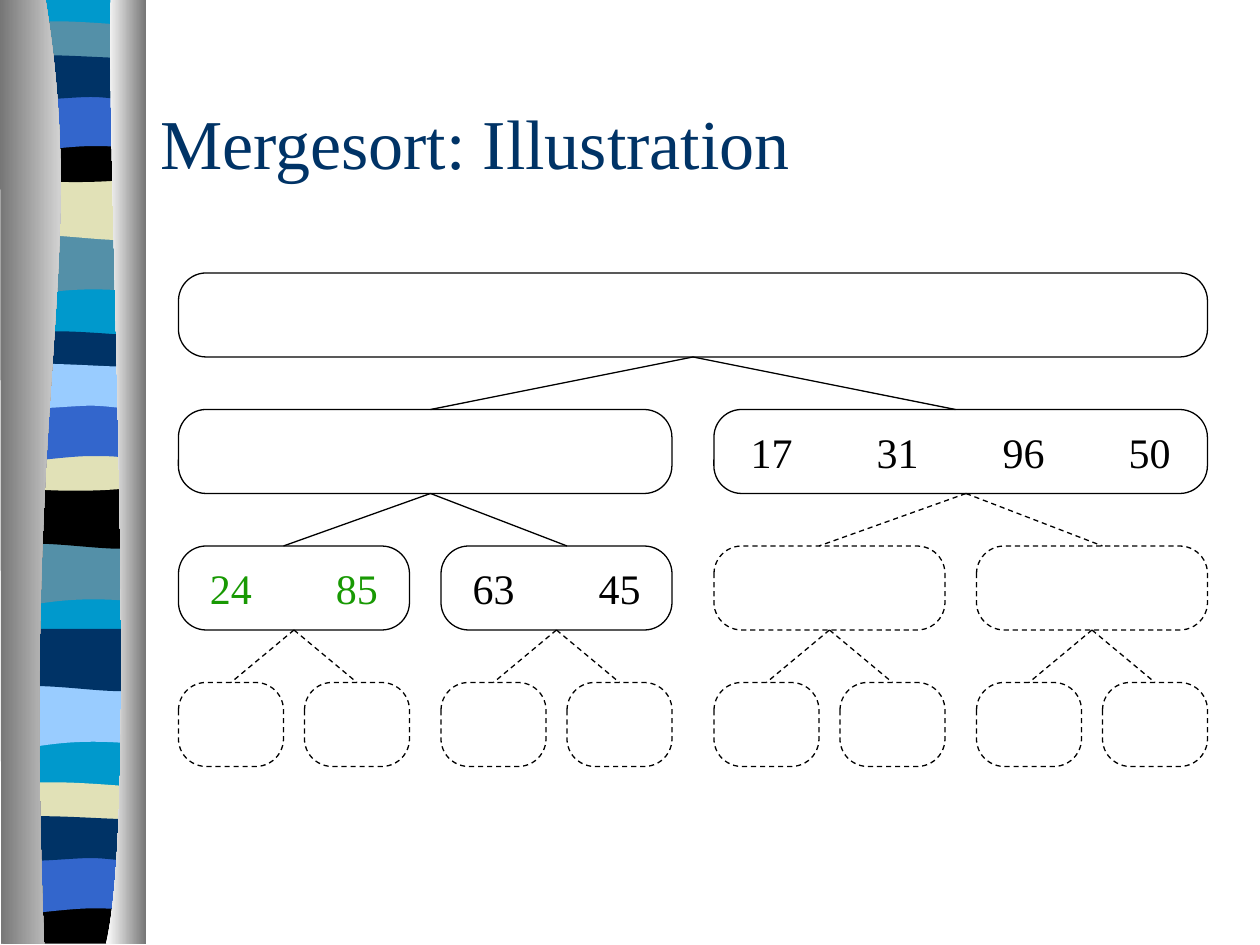
from dataclasses import dataclass
from itertools import product

from lxml.etree import SubElement
from pptx import Presentation
from pptx.dml.color import RGBColor
from pptx.enum.dml import MSO_LINE
from pptx.enum.shapes import MSO_CONNECTOR, MSO_SHAPE
from pptx.enum.text import MSO_ANCHOR, PP_ALIGN
from pptx.oxml.ns import qn
from pptx.util import Inches, Pt

FONT = "Times New Roman"
UNIT = 1 / 12                                # grid step in inches
LEAVES = (17, 29, 42, 54, 68, 80, 93, 105)   # left columns of the lowest boxes
WIDE, HIGH = 10, 8                           # leaf width, box height
TOP, PITCH = 26, 13                          # first row, row step
SPREAD = ((25, 25), (14, 13), (6, 6))        # reach of the lines left and right

NAVY, TEAL, SAND, BLUE = "003366", "5490A8", "E1E1B7", "3366CC"
SKY, CYAN, BLACK, WHITE = "99CCFF", "0099CC", "000000", "FFFFFF"
GREY, GREEN = "767676", "189903"


@dataclass
class Node:
    level: int
    index: int
    text: str = ""
    ink: str = BLACK
    dash: bool = False

    def span(self) -> tuple[int, int]:
        """First and last column of the box."""
        count = len(LEAVES) >> self.level
        first = self.index * count
        return LEAVES[first], LEAVES[first + count - 1] + WIDE

    def row(self) -> int:
        return TOP + PITCH * self.level

    def mid(self) -> int:
        return (sum(self.span()) + 1) // 2


@dataclass
class Band:
    kind: str
    top: float
    color: str


# Outline: a start, then line steps (x, y) and curve steps (x1, y1, x2, y2, x, y).
WAVES = {
    "wave": [(1.14, 0), (1.14, .47), (.39, .39, .24, .55, .06, .47), (.06, 0)],
    "swell": [(1.14, 0), (1.14, .47), (.96, .55, .39, .41, .06, .47), (.06, 0)],
    "lens": [(1.14, .05), (1.14, .29), (.96, .33, .24, .33, .06, .29), (.06, .05),
             (.12, 0, .29, .01, .47, .01), (.65, .01, 1, .04, 1.14, .05)],
    "bowl": [(1.14, 0), (1.14, .32), (.96, .38, .24, .38, .06, .32), (.06, 0),
             (.72, .05, .91, 0, 1.14, 0)],
    "foot": [(1.14, 0), (1.14, .37), (.06, .37), (.06, 0),
             (.72, .05, .91, 0, 1.14, 0)],
    "arch": [(1.14, 0), (1.14, .47), (.97, .42, .9, .42, .72, .42),
             (.54, .42, .22, .47, .06, .47), (.06, 0)],
    "flat": [(1.14, .05), (1.14, .36), (1.07, .41, .9, .36, .72, .36),
             (.54, .36, .17, .41, .06, .36), (.06, .05),
             (.21, 0, .79, .05, .97, .05), (1.15, .05, 1.1, .05, 1.14, .05)],
}
BANDS = [
    Band("wave", 1.85, TEAL), Band("swell", 1.41, SAND), Band("lens", .16, TEAL),
    Band("bowl", 1.08, BLACK), Band("arch", .74, BLUE), Band("flat", .41, NAVY),
    Band("wave", 4.31, TEAL), Band("swell", 3.86, BLACK), Band("lens", 2.62, NAVY),
    Band("bowl", 3.53, SAND), Band("arch", 3.2, BLUE), Band("flat", 2.86, SKY),
    Band("wave", 5.44, SKY), Band("swell", 4.99, NAVY), Band("lens", 6.2, SAND),
    Band("foot", 7.12, BLACK), Band("arch", 6.79, BLUE), Band("flat", 6.45, NAVY),
]
BASE = [(1.14, -.01), (1.14, 7.47), (.06, 7.47), (.06, -.01)]
LEFT = [(.36, -.01), (.71, 2.16, .17, 2.96, .35, 7.49), (.01, 7.49), (0, -.01)]
RIGHT = [(.88, -.01), (.84, 1.25, 1.11, 6.46, .84, 7.49), (1.16, 7.49), (1.16, 0)]

TEXTS = {
    (1, 1): ("17\t31\t96\t50", BLACK),
    (2, 0): ("24\t85", GREEN),
    (2, 1): ("63\t45", BLACK),
}


def rgb(code: str) -> RGBColor:
    return RGBColor.from_string(code)


def put(target, values: dict) -> None:
    for name, value in values.items():
        setattr(target, name, value)


def bend(shape, steps: list) -> None:
    """Join the lines of each curve step into one cubic curve."""
    lines = list(shape._element.iter(qn("a:lnTo")))
    for step in steps[1:]:
        part, lines = lines[:len(step) // 2], lines[len(step) // 2:]
        if len(part) == 3:
            curve = SubElement(part[0].getparent(), qn("a:cubicBezTo"))
            part[0].addprevious(curve)
            for line in part:
                curve.append(line[0])
                line.getparent().remove(line)


def outline(shapes, steps: list, colors: tuple, top: float = 0) -> None:
    """Draw a closed outline with one colour, or two as a gradient."""
    points = [(Inches(step[n]), Inches(step[n + 1] + top))
              for step in steps for n in range(0, len(step), 2)]
    pen = shapes.build_freeform(*points[0])
    pen.add_line_segments(points[1:], close=True)
    shape = pen.convert_to_shape()
    bend(shape, steps)
    shape.shadow.inherit = False
    shape.line.fill.background()
    if len(colors) == 1:
        shape.fill.solid()
        shape.fill.fore_color.rgb = rgb(colors[0])
        return
    shape.fill.gradient()
    shape.fill.gradient_angle = 0
    for stop, color in zip(shape.fill.gradient_stops, colors):
        stop.color.rgb = rgb(color)


def ribbon(slide) -> None:
    group = slide.shapes.add_group_shape()
    outline(group.shapes, BASE, (CYAN,))
    for band in BANDS:
        outline(group.shapes, WAVES[band.kind], (band.color,), band.top)
    outline(group.shapes, LEFT, (GREY, WHITE))
    outline(group.shapes, RIGHT, (WHITE, GREY))
    for n, tag in enumerate(group._element.iter(qn("p:cNvPr")), 100):
        tag.set("id", str(n))
    master = slide.slide_layout.slide_master
    master.shapes._spTree.insert(2, group._element)


def stroke(line, dash: bool) -> None:
    line.color.rgb = rgb(BLACK)
    put(line, {"width": Pt(.75),
               "dash_style": MSO_LINE.DASH if dash else MSO_LINE.SOLID})


def write(shape, text: str, size: int, ink: str, align: PP_ALIGN, wrap: bool) -> None:
    frame = shape.text_frame
    put(frame, {"text": text, "word_wrap": wrap, "vertical_anchor": MSO_ANCHOR.MIDDLE})
    para = frame.paragraphs[0]
    para.alignment = align
    put(para.runs[0].font, {"name": FONT, "size": Pt(size)})
    para.runs[0].font.color.rgb = rgb(ink)
    if "\t" in text:
        tabs = SubElement(para._p.get_or_add_pPr(), qn("a:tabLst"))
        for n in range(8):
            SubElement(tabs, qn("a:tab"), pos=str(Inches(n)), algn="l")


def box(slide, node: Node) -> None:
    first, last = node.span()
    place = [Inches(n * UNIT) for n in (first, node.row(), last - first, HIGH)]
    shape = slide.shapes.add_shape(MSO_SHAPE.ROUNDED_RECTANGLE, *place)
    shape.adjustments[0] = .33
    shape.shadow.inherit = False
    shape.fill.solid()
    shape.fill.fore_color.rgb = rgb(WHITE)
    stroke(shape.line, node.dash)
    if node.text:
        write(shape, node.text, 24, node.ink, PP_ALIGN.CENTER, False)


def link(slide, node: Node, reach: int, dash: bool) -> None:
    """Join the foot of a box to the row below."""
    ends = (node.mid(), node.row() + HIGH, node.mid() + reach, node.row() + PITCH)
    line = slide.shapes.add_connector(
        MSO_CONNECTOR.STRAIGHT, *(Inches(n * UNIT) for n in ends))
    stroke(line.line, dash)
    SubElement(line._element.spPr, qn("a:effectLst"))


def main() -> None:
    deck = Presentation()
    put(deck, {"slide_width": Inches(10), "slide_height": Inches(7.5)})
    slide = deck.slides.add_slide(deck.slide_layouts[5])
    ribbon(slide)

    title = slide.shapes.title
    put(title, {"left": Inches(1.17), "top": Inches(.5),
                "width": Inches(8.5), "height": Inches(1.25)})
    write(title, "Mergesort: Illustration", 40, NAVY, PP_ALIGN.LEFT, True)

    tree = {}
    for level, index in product(range(4), range(8)):
        if index < 2**level:
            text, ink = TEXTS.get((level, index), ("", BLACK))
            dash = level == 3 or (level == 2 and index > 1)
            tree[level, index] = Node(level, index, text, ink, dash)
    for node in tree.values():
        box(slide, node)
    for (level, index), node in tree.items():
        if level < len(SPREAD):
            dash = tree[level + 1, 2 * index].dash
            left, right = SPREAD[level]
            link(slide, node, -left, dash)
            link(slide, node, right, dash)

    deck.save("out.pptx")


if __name__ == "__main__":
    main()
